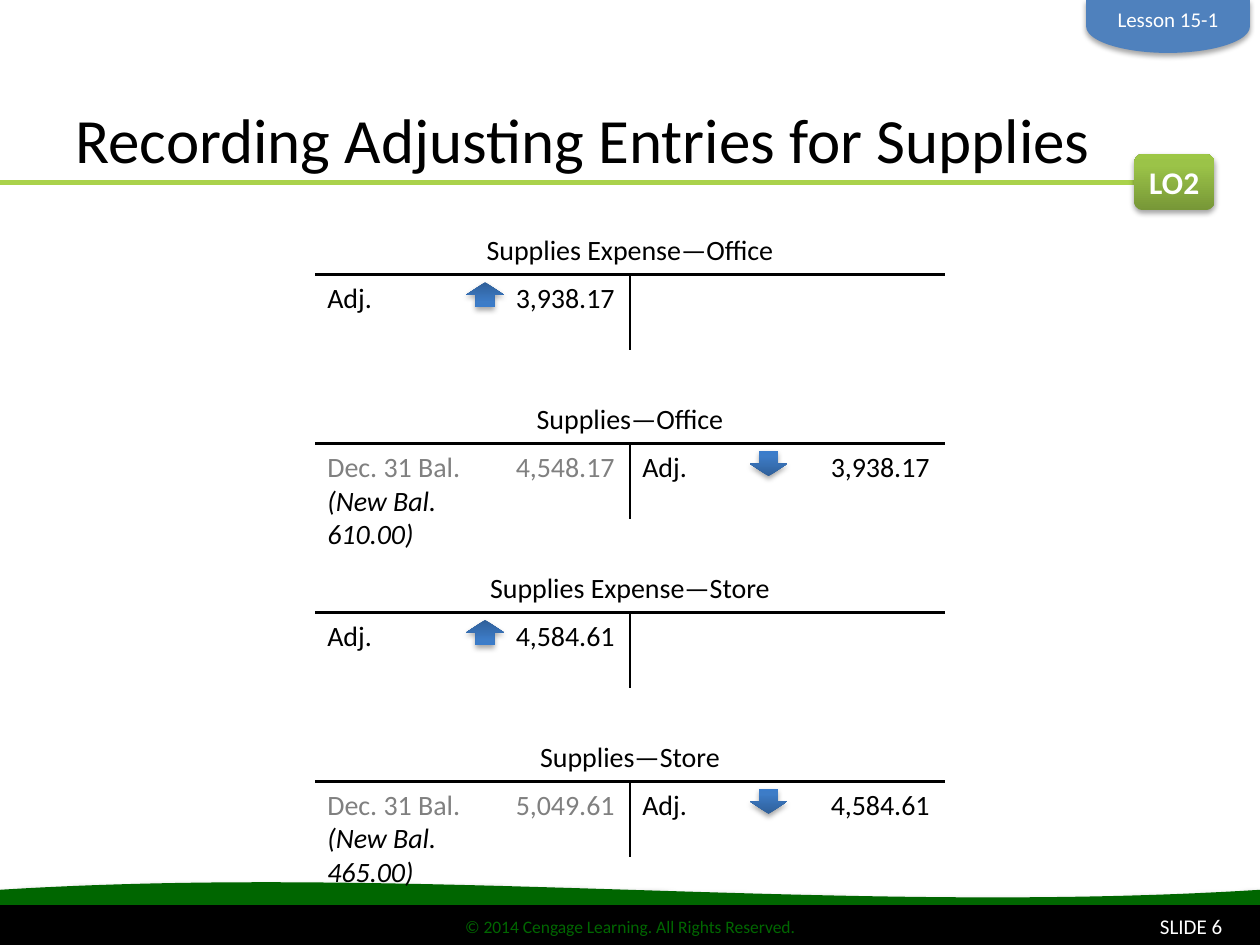
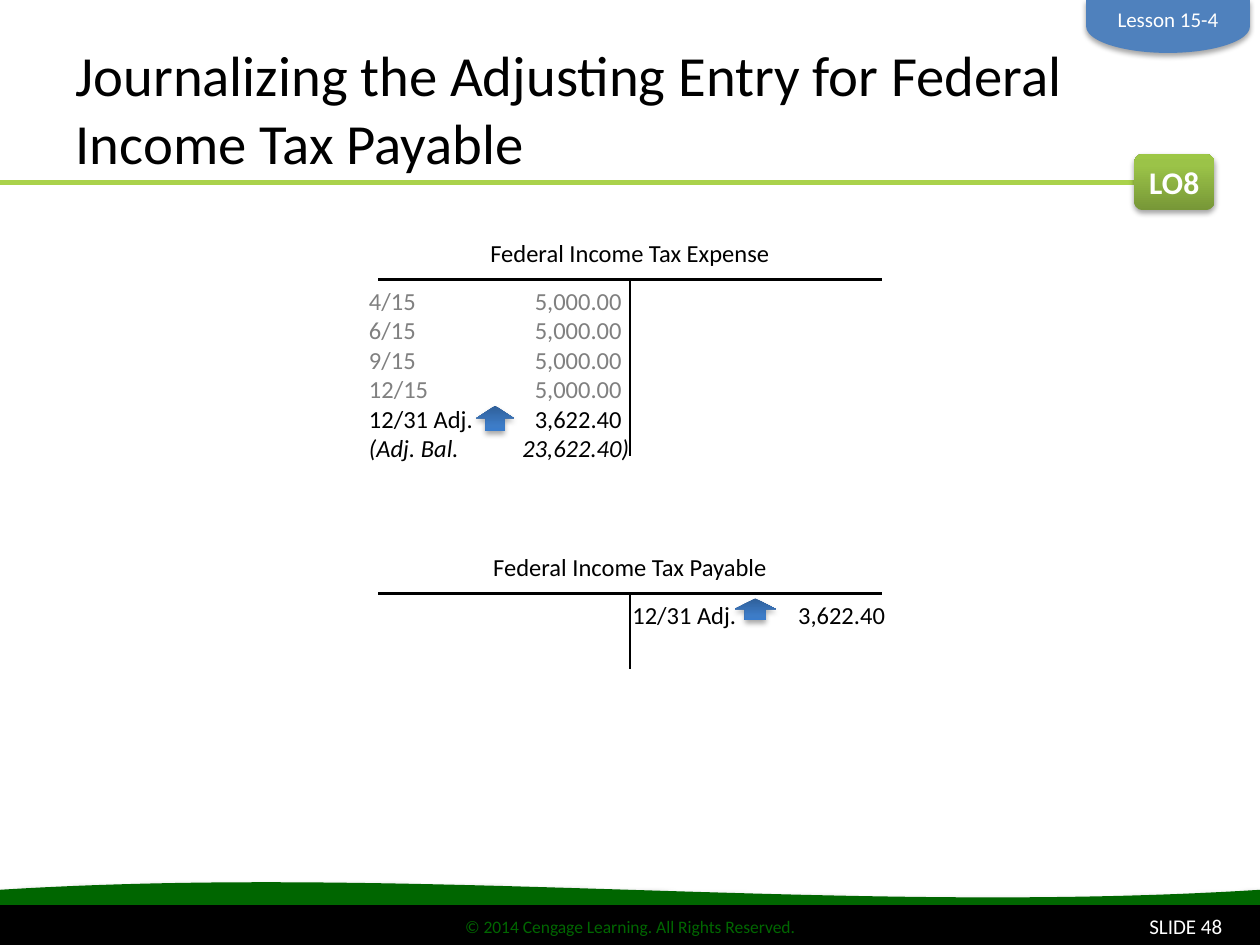
from lxml.etree import SubElement
from pptx import Presentation
from pptx.dml.color import RGBColor
from pptx.enum.shapes import MSO_CONNECTOR as Connector, MSO_SHAPE as Shape
from pptx.enum.text import MSO_ANCHOR as Anchor, MSO_AUTO_SIZE as AutoSize, PP_ALIGN as Align
from pptx.oxml import parse_xml
from pptx.oxml.ns import nsdecls, qn
from pptx.util import Inches, Pt

FONT = "Calibri"
COLORS = {
    "black": "000000",
    "white": "FFFFFF",
    "gray": "808080",
    "wave": "006600",
    "rule": "AAD24B",
    "tab": "4F81BD",
}
BADGE_GRADIENT = ((0, "779737"), (80, "9BC348"), (100, "9DC746"))
ARROW_GRADIENT = ((0, "2F5F99"), (80, "3D7CC7"), (100, "3A7CCB"))

presentation = Presentation()
presentation.slide_width, presentation.slide_height = Inches(10), Inches(7.5)
COLUMN = presentation.slide_width / 100
ROW = presentation.slide_height / 75


def write(shape, lines, size, align=Align.LEFT, anchor=Anchor.TOP, tab=None, bold=False, wrap=True):
    frame = shape.text_frame
    frame.text = "\n".join(text for text, color, italic in lines)
    frame.word_wrap = wrap
    frame.auto_size = AutoSize.NONE
    frame.vertical_anchor = anchor
    for paragraph, (text, color, italic) in zip(frame.paragraphs, lines):
        paragraph.alignment = align
        if tab:
            tabs = SubElement(paragraph._p.get_or_add_pPr(), qn("a:tabLst"))
            SubElement(tabs, qn("a:tab"), pos=str(Inches(tab)), algn="dec")
        for run in paragraph.runs:
            run.font.name, run.font.size = FONT, Pt(size)
            run.font.bold, run.font.italic = bold, italic
            run.font.color.rgb = RGBColor.from_string(COLORS[color])


def draw(slide, kind, box, color=None, gradient=None, shadow=False):
    left, top, width, height = box
    shape = slide.shapes.add_shape(
        kind, int(left * COLUMN), int(top * ROW), int(width * COLUMN), int(height * ROW))
    shape.shadow.inherit = False
    shape.line.fill.background()
    if color:
        shape.fill.solid()
        shape.fill.fore_color.rgb = RGBColor.from_string(COLORS[color])
    properties = shape._element.spPr
    if gradient:
        stops = "".join(
            f'<a:gs pos="{share * 1000}"><a:srgbClr val="{value}"/></a:gs>' for share, value in gradient)
        properties.find(qn("a:prstGeom")).addnext(parse_xml(
            f'<a:gradFill rotWithShape="1" {nsdecls("a")}><a:gsLst>{stops}</a:gsLst>'
            '<a:lin ang="16200000" scaled="0"/></a:gradFill>'))
    if shadow:
        properties.find(qn("a:effectLst")).append(parse_xml(
            f'<a:outerShdw blurRad="{Pt(3.1)}" dist="{Pt(1.8)}" dir="5400000" rotWithShape="0" '
            f'{nsdecls("a")}><a:srgbClr val="000000"><a:alpha val="35000"/></a:srgbClr></a:outerShdw>'))
    return shape


pages = [
    {
        "title": "Recording Adjusting Entries for Supplies", "title_size": 36,
        "number": 6, "lesson": "Lesson 15-1", "objective": "LO2",
        "first_top": 21.8, "step": 13.4, "half_width": 25, "size": 16, "tab": 2,
        "debit_box": (25, 25.3), "credit_box": (50, 25),
        "accounts": [
            ("Supplies Expense—Office", 6, [("Adj.\t3,938.17", "black", False)], [],
             (37, 0.6, 3, 2), True),
            ("Supplies—Office", 6,
             [("Dec. 31 Bal.\t4,548.17", "gray", False), ("(New Bal.\t610.00)", "black", True)],
             [("Adj.\t3,938.17", "black", False)], (59.5, 0.6, 3, 2), False),
            ("Supplies Expense—Store", 6, [("Adj.\t4,584.61", "black", False)], [],
             (37, 0.6, 3, 2), True),
            ("Supplies—Store", 6,
             [("Dec. 31 Bal.\t5,049.61", "gray", False), ("(New Bal.\t465.00)", "black", True)],
             [("Adj.\t4,584.61", "black", False)], (59.5, 0.6, 3, 2), False),
        ],
    },
    {
        "title": "Journalizing the Adjusting Entry for Federal Income Tax Payable", "title_size": 32.4,
        "number": 48, "lesson": "Lesson 15-4", "objective": "LO8",
        "first_top": 22.2, "step": 24.9, "half_width": 20, "size": 14, "tab": 1.76,
        "debit_box": (28.3, 24.2), "credit_box": (49.2, 24.2),
        "accounts": [
            ("Federal Income Tax Expense", 14,
             [(f"{day}\t5,000.00", "gray", False) for day in ("4/15", "6/15", "9/15", "12/15")]
             + [("12/31 Adj.\t3,622.40", "black", False), ("(Adj. Bal.\t23,622.40)", "black", True)],
             [], (37.8, 10, 3, 2), True),
            ("Federal Income Tax Payable", 6, [], [("12/31 Adj.\t3,622.40", "black", False)],
             (58.3, 0.4, 3.3, 1.7), True),
        ],
    },
]

for page in pages:
    slide = presentation.slides.add_slide(presentation.slide_layouts[5])
    title = slide.shapes.title
    title.left, title.top = int(5 * COLUMN), int(2 * ROW)
    title.width, title.height = int(85 * COLUMN), int(12.5 * ROW)
    write(title, [(page["title"], "black", False)], page["title_size"], anchor=Anchor.BOTTOM)

    draw(slide, Shape.WAVE, (0, 70, 100, 5), "wave", shadow=True)
    footer = draw(slide, Shape.RECTANGLE, (0, 72, 100, 3), "black")
    footer.line.color.rgb = RGBColor.from_string(COLORS["black"])
    footer.line.width = Pt(2)
    write(footer, [("© 2014 Cengage Learning. All Rights Reserved.", "wave", False)], 10,
          Align.CENTER, Anchor.MIDDLE)
    number = draw(slide, Shape.RECTANGLE, (78, 72, 20, 3), "black")
    write(number, [(f"SLIDE {page['number']}", "white", False)], 12, Align.RIGHT, Anchor.MIDDLE)

    lines = [(0, 14.5, 95, 14.5, "rule", 3)]
    for index, (name, depth, debits, credits, arrow, rising) in enumerate(page["accounts"]):
        top = page["first_top"] + index * page["step"]
        lines.append((50 - page["half_width"], top, 50 + page["half_width"], top, "black", 1.5))
        lines.append((50, top, 50, top + depth, "black", 1.5))
        texts = [
            ([(name, "black", False)], (33, 34), top - 3.8, Align.CENTER, None),
            (debits, page["debit_box"], top, Align.LEFT, page["tab"]),
            (credits, page["credit_box"], top, Align.LEFT, page["tab"]),
        ]
        for entries, (left, width), text_top, align, tab in texts:
            if entries:
                height = 1 + 2.7 * len(entries)
                box = slide.shapes.add_textbox(
                    int(left * COLUMN), int(text_top * ROW), int(width * COLUMN), int(height * ROW))
                write(box, entries, page["size"], align, tab=tab)
        left, offset, width, height = arrow
        pointer = draw(slide, Shape.DOWN_ARROW, (left, top + offset, width, height),
                       gradient=ARROW_GRADIENT, shadow=True)
        if rising:
            pointer._element.spPr.find(qn("a:xfrm")).set("flipV", "1")

    for start_x, start_y, end_x, end_y, color, width in lines:
        line = slide.shapes.add_connector(
            Connector.STRAIGHT, int(start_x * COLUMN), int(start_y * ROW),
            int(end_x * COLUMN), int(end_y * ROW))
        line.line.color.rgb = RGBColor.from_string(COLORS[color])
        line.line.width = Pt(width)
        SubElement(line._element.spPr, qn("a:effectLst"))

    badge = draw(slide, Shape.ROUNDED_RECTANGLE, (90, 12.2, 6.4, 4.5),
                 gradient=BADGE_GRADIENT, shadow=True)
    write(badge, [(page["objective"], "white", False)], 18, Align.CENTER, Anchor.MIDDLE,
          bold=True, wrap=False)
    lesson_tab = draw(slide, Shape.FLOWCHART_DELAY, (90.6, -4.4, 4.2, 13), "tab", shadow=True)
    lesson_tab.rotation = 90
    lesson = slide.shapes.add_textbox(int(86.2 * COLUMN), 0, int(13 * COLUMN), int(3 * ROW))
    write(lesson, [(page["lesson"], "white", False)], 12, Align.CENTER)

presentation.save("out.pptx")
